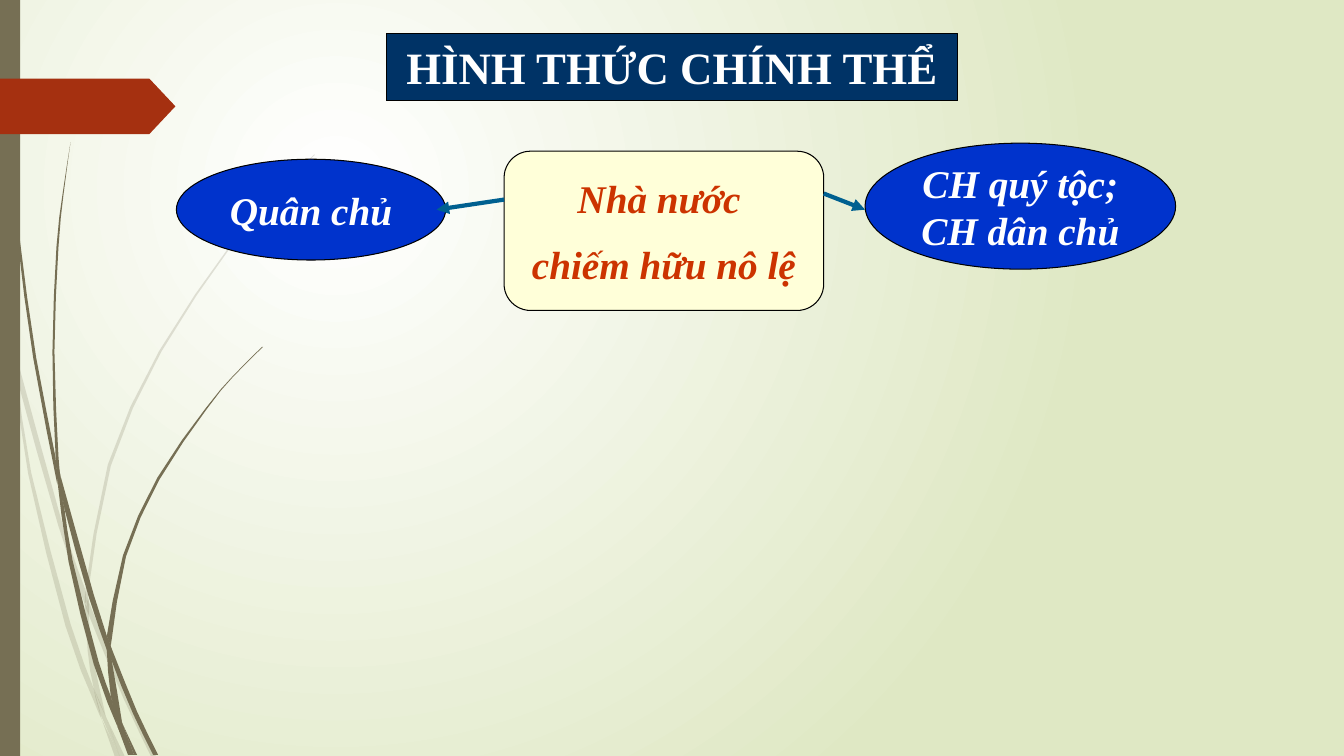
from lxml import etree
from pptx import Presentation
from pptx.dml.color import RGBColor
from pptx.enum.shapes import MSO_CONNECTOR, MSO_SHAPE
from pptx.enum.text import MSO_ANCHOR, PP_ALIGN
from pptx.oxml.ns import qn
from pptx.util import Inches, Pt

RECTANGLE, PENTAGON, ELLIPSE = MSO_SHAPE.RECTANGLE, MSO_SHAPE.PENTAGON, MSO_SHAPE.OVAL
ROUNDED = MSO_SHAPE.FLOWCHART_ALTERNATE_PROCESS
STRAIGHT = MSO_CONNECTOR.STRAIGHT
CENTER, MIDDLE = PP_ALIGN.CENTER, MSO_ANCHOR.MIDDLE

FONT = "Times New Roman"
COLORS = {
    "white": "FFFFFF", "edge": "DFE8C4", "olive": "766F54", "rust": "A53010",
    "navy": "003366", "cream": "FFFFD9", "red": "CC3300", "blue": "0033CC",
    "arrow": "006090", "black": "000000",
}

TITLE = "HÌNH THỨC CHÍNH THỂ"
TITLE_BOX = (3.83, 0.33, 5.67, 0.67)

# shape, box, lines, fill, text colour, space before later lines
NODES = [
    (ROUNDED, (5, 1.5, 3.17, 1.58), ["Nhà nước ", "chiếm hữu nô lệ"], "cream", "red", 14),
    (ELLIPSE, (1.75, 1.58, 2.67, 1), ["Quân chủ"], "blue", "white", 0),
    (ELLIPSE, (8.58, 1.42, 3.08, 1.25), ["CH quý tộc;", " CH dân chủ "], "blue", "white", 0),
]
ARROWS = [(5, 1.98, 4.33, 2.08), (8.17, 1.92, 8.58, 2.08)]

# Grass is made of slivers, each with a left and a right side, both from the top down
PALE_GRASS = [
    ([(0, 2.82), (0, 2.99), (0.1, 3.44), (0.11, 3.5)], [(0, 2.82), (0.09, 3.22), (0.11, 3.5)]),
    ([(0.14, 3.45), (0.17, 3.76), (0.58, 5.22), (0.84, 5.99)],
     [(0.14, 3.45), (0.62, 5.2), (0.85, 5.86), (0.84, 5.99)]),
    ([(0.88, 5.96), (0.88, 6.1), (1.23, 6.94), (1.5, 7.51)],
     [(0.88, 5.96), (0.92, 6.07), (1.27, 6.92), (1.55, 7.51)]),
    ([(1.05, 7.11), (1.19, 7.51)], [(1.05, 7.11), (1.24, 7.51)]),
    ([(0.11, 3.5), (0.28, 4.7), (0.65, 6.21), (0.92, 6.93), (1.01, 7.14)],
     [(0.11, 3.5), (0.17, 3.76), (0.31, 4.69), (0.7, 6.19), (0.93, 6.83), (1.01, 7.14)]),
    ([(0.84, 5.99), (0.87, 6.46), (0.93, 6.83), (1.05, 7.11)],
     [(0.84, 5.99), (0.88, 6.08), (0.91, 6.46), (1.05, 7.11)]),
    ([(3.12, 1.53), (2.68, 1.97), (2.28, 2.44), (1.58, 3.48), (1.07, 4.61), (0.85, 5.84)],
     [(3.12, 1.54), (2.68, 1.98), (2.29, 2.45), (1.6, 3.49), (1.1, 4.62), (0.88, 5.84),
      (0.88, 5.96)]),
    ([(1.01, 7.14), (1.14, 7.51)], [(1.01, 7.14), (1.19, 7.51)]),
    ([(0.85, 5.86), (0.84, 5.99), (0.88, 6.1)], [(0.85, 5.86), (0.88, 5.96), (0.88, 6.1)]),
    ([(0.93, 6.83), (0.99, 7.07), (1.19, 7.51)], [(0.93, 6.83), (1.05, 7.11), (1.19, 7.51)]),
]
DARK_GRASS = [
    ([(0.03, 0), (0.04, 0.48), (0.07, 1.1), (0.17, 2.33), (0.33, 3.55), (0.57, 4.81)],
     [(0.04, 0), (0.05, 0.48), (0.08, 1.09), (0.19, 2.32), (0.36, 3.55), (0.55, 4.53),
      (0.57, 4.81)]),
    ([(0.6, 4.72), (0.64, 5.05), (0.88, 5.92), (1.06, 6.45)],
     [(0.6, 4.72), (0.93, 5.9), (1.06, 6.31), (1.06, 6.45)]),
    ([(1.1, 6.41), (1.11, 6.56), (1.32, 7.08), (1.52, 7.49)],
     [(1.1, 6.41), (1.13, 6.49), (1.36, 7.06), (1.57, 7.49)]),
    ([(0.57, 4.77), (0.68, 5.57), (0.93, 6.59), (1.17, 7.22)],
     [(0.57, 4.77), (0.64, 5.05), (0.72, 5.56), (0.98, 6.57), (1.1, 6.91), (1.17, 7.22)]),
    ([(0.7, 1.41), (0.62, 1.93), (0.56, 2.45), (0.52, 3.49), (0.55, 4.49), (0.6, 4.72)],
     [(0.7, 1.41), (0.63, 1.93), (0.58, 2.45), (0.54, 3.49), (0.58, 4.53), (0.6, 4.72)]),
    ([(1.22, 7.19), (1.33, 7.49)], [(1.22, 7.19), (1.36, 7.49)]),
    ([(0.55, 4.49), (0.57, 4.77), (0.64, 5.05)], [(0.55, 4.49), (0.6, 4.72), (0.64, 5.05)]),
    ([(2.6, 3.44), (2.31, 3.73), (2.04, 4.05), (1.56, 4.74), (1.22, 5.51), (1.06, 6.31)],
     [(2.61, 3.44), (2.31, 3.74), (2.05, 4.06), (1.58, 4.76), (1.25, 5.52), (1.11, 6.33),
      (1.1, 6.41)]),
    ([(1.17, 7.22), (1.27, 7.49)], [(1.17, 7.22), (1.31, 7.49)]),
    ([(1.06, 6.45), (1.1, 6.91), (1.22, 7.19)],
     [(1.06, 6.45), (1.11, 6.56), (1.21, 7.16), (1.22, 7.19)]),
    ([(1.06, 6.31), (1.06, 6.45), (1.11, 6.56)], [(1.06, 6.31), (1.1, 6.41), (1.11, 6.56)]),
    ([(1.1, 6.91), (1.17, 7.22), (1.3, 7.49)], [(1.1, 6.91), (1.22, 7.19), (1.33, 7.49)]),
]


def rgb(name):
    return RGBColor.from_string(COLORS[name])


def write(shape, lines, size=28, color="white", italic=False, gap=0):
    frame = shape.text_frame
    frame.word_wrap = False
    frame.vertical_anchor = MIDDLE
    for index, line in enumerate(lines):
        paragraph = frame.add_paragraph() if index else frame.paragraphs[0]
        paragraph.alignment = CENTER
        paragraph.space_before = Pt(gap if index else 0)
        run = paragraph.add_run()
        run.text = line
        font = run.font
        font.name, font.size, font.bold, font.italic = FONT, Pt(size), True, italic
        font.color.rgb = rgb(color)


def paint(shape, fill, outlined=False):
    shape.fill.solid()
    shape.fill.fore_color.rgb = rgb(fill)
    if outlined:
        shape.line.color.rgb = rgb("black")
        shape.line.width = Pt(0.75)
    else:
        shape.line.fill.background()
    shape.shadow.inherit = False


def add_block(slide, kind, box, fill, outlined=False):
    block = slide.shapes.add_shape(kind, *map(Inches, box))
    paint(block, fill, outlined)
    return block


def smooth(side):
    """Add a point halfway along each stretch, on a Catmull-Rom curve."""
    padded = [side[0], *side, side[-1]]
    points = []
    for a, b, c, d in zip(padded, padded[1:], padded[2:], padded[3:]):
        halfway = tuple((9 * (q + r) - p - s) / 16 for p, q, r, s in zip(a, b, c, d))
        points += [b, halfway]
    return points + [side[-1]]


def add_sliver(slide, left, right, opacity):
    sides = smooth(left) + smooth(right)[::-1]
    outline = [(Inches(x), Inches(y)) for x, y in sides]
    builder = slide.shapes.build_freeform(*outline[0])
    builder.add_line_segments(outline[1:], close=True)
    sliver = builder.convert_to_shape()
    paint(sliver, "olive")
    if opacity < 100:
        color = sliver._element.spPr.find(qn("a:solidFill"))[0]
        etree.SubElement(color, qn("a:alpha"), val=str(opacity * 1000))


def add_arrow(slide, ends):
    arrow = slide.shapes.add_connector(STRAIGHT, *map(Inches, ends))
    arrow.line.color.rgb = rgb("arrow")
    arrow.line.width = Pt(3)
    etree.SubElement(arrow.line._get_or_add_ln(), qn("a:tailEnd"), type="triangle")
    etree.SubElement(arrow._element.spPr, qn("a:effectLst"))


def set_background(slide):
    """Spread white out from a quarter of the way across and down the slide."""
    fill = slide.background.fill
    fill.gradient()
    for stop, name, position in zip(fill.gradient_stops, ("white", "edge"), (0, 1)):
        stop.color.rgb = rgb(name)
        stop.position = position
    gradient = slide._element.find(".//" + qn("a:gradFill"))
    gradient.remove(gradient.find(qn("a:lin")))
    circle = etree.SubElement(gradient, qn("a:path"), path="circle")
    etree.SubElement(circle, qn("a:fillToRect"),
                     l="50000", t="50000", r="100000", b="100000")


def format_title(slide):
    title = slide.shapes.title
    title.left, title.top, title.width, title.height = map(Inches, TITLE_BOX)
    octagon = etree.SubElement(title._element.spPr, qn("a:prstGeom"), prst="octagon")
    adjustments = etree.SubElement(octagon, qn("a:avLst"))
    etree.SubElement(adjustments, qn("a:gd"), name="adj", fmla="val 15400")
    paint(title, "navy", outlined=True)
    write(title, [TITLE], size=32)
    slide.shapes._spTree.append(title._element)


def main():
    deck = Presentation()
    deck.slide_width, deck.slide_height = Inches(13.33), Inches(7.5)
    slide = deck.slides.add_slide(deck.slide_layouts[5])
    set_background(slide)
    for grass, opacity in ((PALE_GRASS, 20), (DARK_GRASS, 100)):
        for left, right in grass:
            add_sliver(slide, left, right, opacity)
    add_block(slide, RECTANGLE, (0, 0, 0.2, 7.5), "olive")
    marker = add_block(slide, PENTAGON, (0, 0.78, 1.74, 0.55), "rust")
    marker.adjustments[0] = 0.47
    for kind, box, lines, fill, color, gap in NODES:
        node = add_block(slide, kind, box, fill, outlined=True)
        write(node, lines, color=color, italic=True, gap=gap)
    for ends in ARROWS:
        add_arrow(slide, ends)
    format_title(slide)
    deck.save("out.pptx")


if __name__ == "__main__":
    main()
